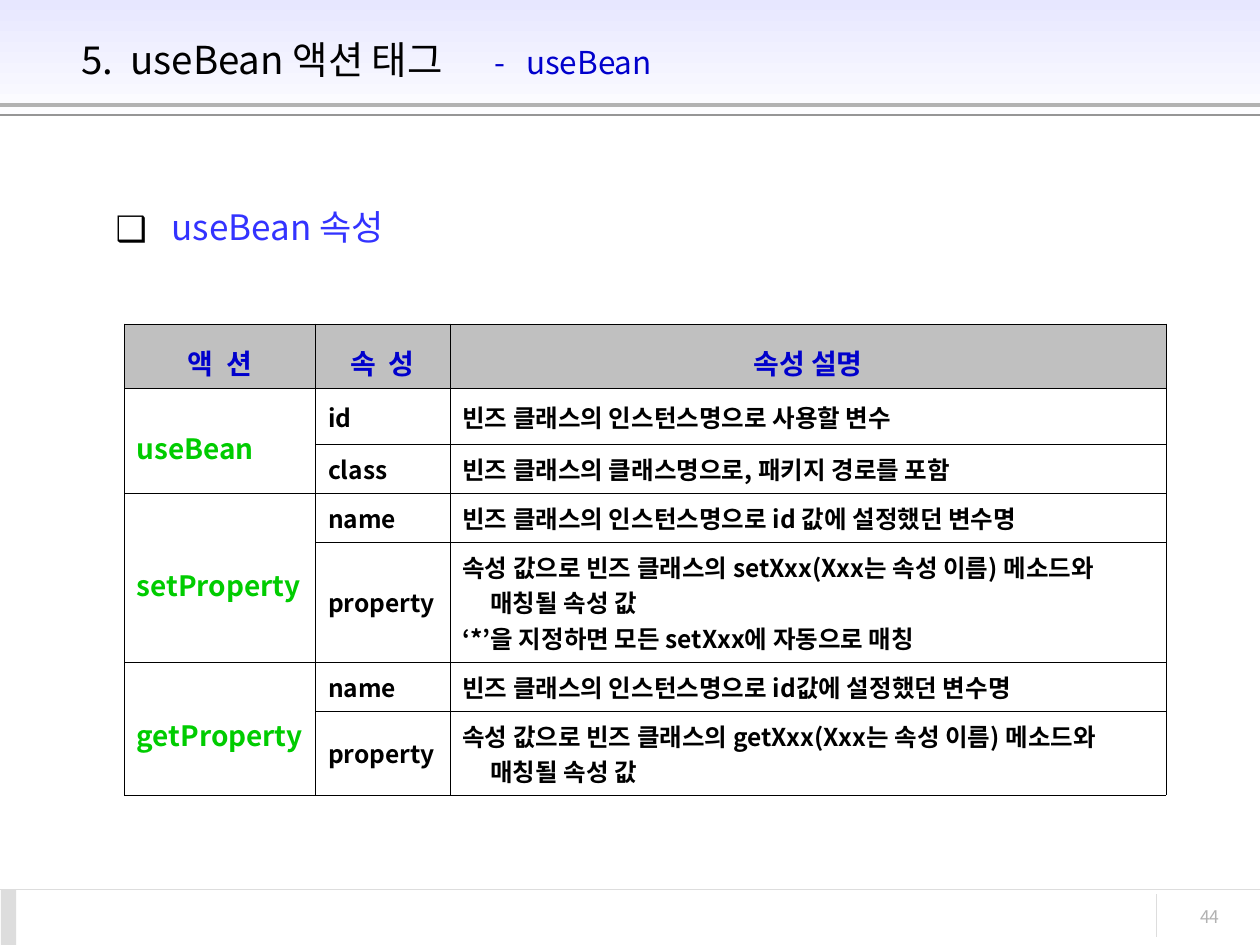
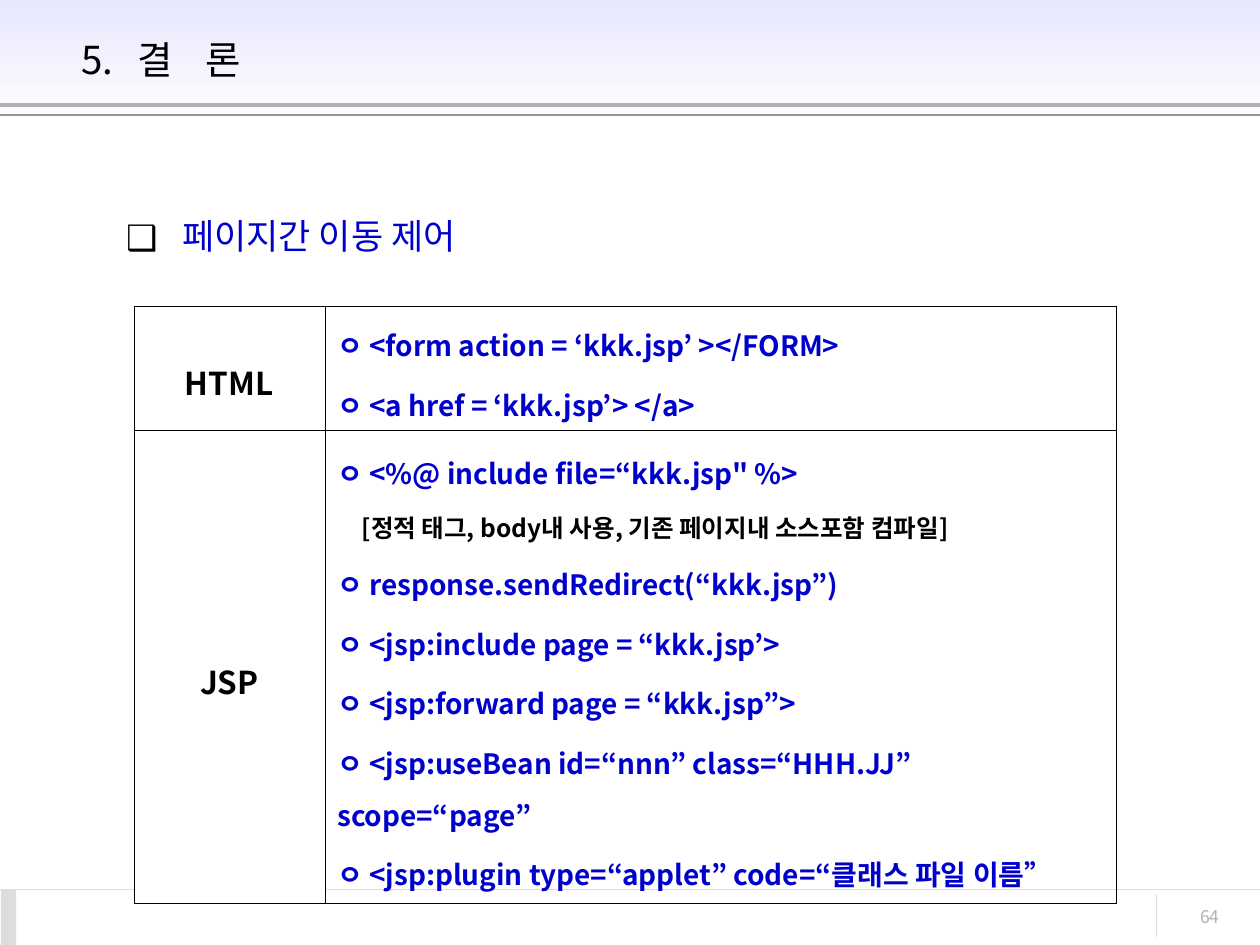
from dataclasses import dataclass

from lxml import etree
from pptx import Presentation, util as u
from pptx.dml.color import RGBColor
from pptx.enum import shapes, text
from pptx.oxml import ns

Pt = u.Pt
MID = text.MSO_ANCHOR.MIDDLE
LEFT, RIGHT = text.PP_ALIGN.LEFT, text.PP_ALIGN.RIGHT
CENTER, JUST = text.PP_ALIGN.CENTER, text.PP_ALIGN.JUSTIFY


@dataclass(frozen=True)
class Theme:
    font: str = "Noto Sans CJK KR"
    black: str = "000000"
    white: str = "FFFFFF"
    blue: str = "0000CC"
    bright: str = "3333FF"
    green: str = "00CC00"
    head: str = "C0C0C0"
    band: str = "E7E7FF"
    thick: str = "B2B2B2"
    thin: str = "969696"
    pale: str = "DDDDDD"
    title: int = 22
    topic: int = 20
    label: int = 18
    code: int = 16
    body: int = 14
    page: int = 10


T = Theme()
WIDTH, HEIGHT = 720, 540

# Content
BEAN = {
    "page": "44",
    "title": "5.\tuseBean 액션 태그",
    "sub": "\t-\tuseBean",
    "tabs": (28, 236, 254),
    "topic": "useBean 속성",
    "tint": T.bright,
    "spot": (59, 106.5),
    "lead": 1.3,
}
HEADS = ["액 션", "속 성", "속성 설명"]
ACTIONS = [
    ("useBean", [
        ("id", ["빈즈 클래스의 인스턴스명으로 사용할 변수"]),
        ("class", ["빈즈 클래스의 클래스명으로, 패키지 경로를 포함"]),
    ]),
    ("setProperty", [
        ("name", ["빈즈 클래스의 인스턴스명으로 id 값에 설정했던 변수명"]),
        ("property", ["속성 값으로 빈즈 클래스의 setXxx(Xxx는 속성 이름) 메소드와",
                      "매칭될 속성 값",
                      "‘*’을 지정하면 모든 setXxx에 자동으로 매칭"]),
    ]),
    ("getProperty", [
        ("name", ["빈즈 클래스의 인스턴스명으로 id값에 설정했던 변수명"]),
        ("property", ["속성 값으로 빈즈 클래스의 getXxx(Xxx는 속성 이름) 메소드와",
                      "매칭될 속성 값"]),
    ]),
]
CLOSE = {
    "page": "64",
    "title": "5.\t결\t론",
    "sub": "",
    "tabs": (32, 71),
    "topic": "페이지간 이동 제어",
    "tint": T.blue,
    "spot": (65, 116.5),
    "lead": 1.1,
}
MOVES = [
    ("HTML", ["ㅇ <form action = ‘kkk.jsp’ ></FORM>",
              "ㅇ <a href = ‘kkk.jsp’> </a>"]),
    ("JSP", ["ㅇ <%@ include file=“kkk.jsp\" %>",
             "[정적 태그, body내 사용, 기존 페이지내 소스포함 컴파일]",
             "ㅇ response.sendRedirect(“kkk.jsp”)",
             "ㅇ <jsp:include page = “kkk.jsp’>",
             "ㅇ <jsp:forward page = “kkk.jsp”>",
             "ㅇ <jsp:useBean id=“nnn” class=“HHH.JJ” scope=“page”",
             "ㅇ <jsp:plugin type=“applet” code=“클래스 파일 이름”"]),
]


def rgb(code):
    return RGBColor.from_string(code)


def sub(parent, tag, **attrs):
    node = etree.SubElement(parent, ns.qn(tag))
    for key, value in attrs.items():
        node.set(key, str(value))
    return node


def style(par, size, color, bold=False, align=LEFT, lead=None, gap=None):
    par.alignment = align
    if lead:
        par.line_spacing = lead
    if gap:
        par.space_before = Pt(gap)
    for run in par.runs:
        ink(run, size, color, bold)


def ink(run, size, color, bold=False):
    run.font.size, run.font.bold, run.font.name = Pt(size), bold, T.font
    run.font.color.rgb = rgb(color)
    sub(run.font._element, "a:ea", typeface=T.font)


def indent(par, left, first=0):
    props = par._p.get_or_add_pPr()
    props.set("marL", str(Pt(left)))
    props.set("indent", str(Pt(first)))
    return props


def block(slide, x, y, w, h, words):
    frame = slide.shapes.add_textbox(Pt(x), Pt(y), Pt(w), Pt(h)).text_frame
    frame.word_wrap = True
    frame.text = words
    return frame


def rule(slide, x1, y1, x2, y2, color, width=0.75):
    line = slide.shapes.add_connector(
        shapes.MSO_CONNECTOR.STRAIGHT, Pt(x1), Pt(y1), Pt(x2), Pt(y2))
    line.line.color.rgb, line.line.width = rgb(color), Pt(width)
    sub(line._element.spPr, "a:effectLst")


def panel(slide, x, y, w, h):
    box = slide.shapes.add_shape(
        shapes.MSO_SHAPE.RECTANGLE, Pt(x), Pt(y), Pt(w), Pt(h))
    box.shadow.inherit = False
    box.line.fill.background()
    return box.fill


def base(deck, data):
    """Add a slide with its bands, page number, title and topic."""
    slide = deck.slides.add_slide(deck.slide_layouts[6])
    fill = panel(slide, 0, 0, WIDTH, 72)
    fill.gradient()
    fill.gradient_angle = 270
    for stop, color in zip(fill.gradient_stops, (T.band, T.white)):
        stop.color.rgb = rgb(color)
    rule(slide, 0, 60.25, WIDTH, 60.25, T.thick, 2.25)
    rule(slide, 0, 65.75, WIDTH, 65.75, T.thin)
    rule(slide, 0, 508.25, WIDTH, 508.25, T.pale)
    fill = panel(slide, 0.5, 508.25, 8.75, 31.75)
    fill.solid()
    fill.fore_color.rgb = rgb(T.pale)
    rule(slide, 661, 511, 661, 535.5, T.pale)
    page = block(slide, 638, 514, 66, 24, data["page"])
    style(page.paragraphs[0], T.page, T.thick, align=RIGHT)

    frame = block(slide, 39.5, 9.5, 621.5, 49, data["title"])
    frame.vertical_anchor = MID
    par = frame.paragraphs[0]
    stops = sub(par._p.get_or_add_pPr(), "a:tabLst")
    for place in data["tabs"]:
        sub(stops, "a:tab", pos=Pt(place), algn="l")
    style(par, T.title, T.black)
    if data["sub"]:
        run = par.add_run()
        run.text = data["sub"]
        ink(run, T.label, T.blue)

    par = block(slide, *data["spot"], 624, 62, data["topic"]).paragraphs[0]
    props = indent(par, 32, -32)
    sub(sub(props, "a:buClr"), "a:srgbClr", val=T.black)
    sub(props, "a:buFont", typeface=T.font)
    sub(props, "a:buChar", char="❑")
    style(par, T.topic, data["tint"], lead=data["lead"])
    return slide


def grid(slide, x, y, cols, rows):
    """Add a table with thin black borders and clear cells."""
    table = slide.shapes.add_table(
        len(rows), len(cols), Pt(x), Pt(y), Pt(sum(cols)), Pt(sum(rows))).table
    table.first_row = table.horz_banding = False
    for col, width in zip(table.columns, cols):
        col.width = Pt(width)
    for row, height in zip(table.rows, rows):
        row.height = Pt(height)
    for cell in table.iter_cells():
        props = cell._tc.get_or_add_tcPr()
        for side in "LRTB":
            edge = sub(props, "a:ln" + side, w=Pt(0.11))
            sub(sub(edge, "a:solidFill"), "a:srgbClr", val=T.black)
        cell.fill.background()
        cell.vertical_anchor = MID
    return table


def write(cell, words, *look, fill=None, **more):
    cell.text_frame.text = words
    for par in cell.text_frame.paragraphs:
        style(par, *look, bold=True, **more)
    if fill:
        cell.fill.solid()
        cell.fill.fore_color.rgb = rgb(fill)
    return cell.text_frame.paragraphs


def bean(deck):
    slide = base(deck, BEAN)
    table = grid(slide, 71, 185, (109.25, 76.75, 409.5),
                 (37, 32, 28, 28, 68.5, 28, 48))
    for col, name in enumerate(HEADS):
        par, = write(table.cell(0, col), name, T.code, T.blue,
                     fill=T.head, align=CENTER, lead=1.3)
        if col < 2:
            par.runs[0].font._element.set("spc", "180")
    row = 1
    for action, attrs in ACTIONS:
        first = table.cell(row, 0)
        first.merge(table.cell(row + len(attrs) - 1, 0))
        write(first, action, T.code, T.green, lead=1.3)
        for name, notes in attrs:
            write(table.cell(row, 1), name, T.body, T.black, align=JUST)
            pars = write(table.cell(row, 2), "\n".join(notes),
                         T.body, T.black, align=JUST)
            if len(pars) > 1:
                indent(pars[1], 16)
            row += 1


def close(deck):
    slide = base(deck, CLOSE)
    table = grid(slide, 76.5, 175, (109, 452.5), (71, 270))
    for row, (name, lines) in enumerate(MOVES):
        write(table.cell(row, 0), name, T.label, T.black,
              fill=T.white, align=CENTER, lead=1.6)
        pars = write(table.cell(row, 1), "\n".join(lines),
                     T.code, T.blue, lead=1.3)
        for par in pars[1:]:
            par.space_before = Pt(4)
        for par in pars:
            if par.text.startswith("["):
                indent(par, 14)
                par.space_before = Pt(3.5)
                par.runs[0].font.size = Pt(T.body)
                par.runs[0].font.color.rgb = rgb(T.black)


def main():
    deck = Presentation()
    deck.slide_width, deck.slide_height = Pt(WIDTH), Pt(HEIGHT)
    bean(deck)
    close(deck)
    deck.save("out.pptx")


if __name__ == "__main__":
    main()
